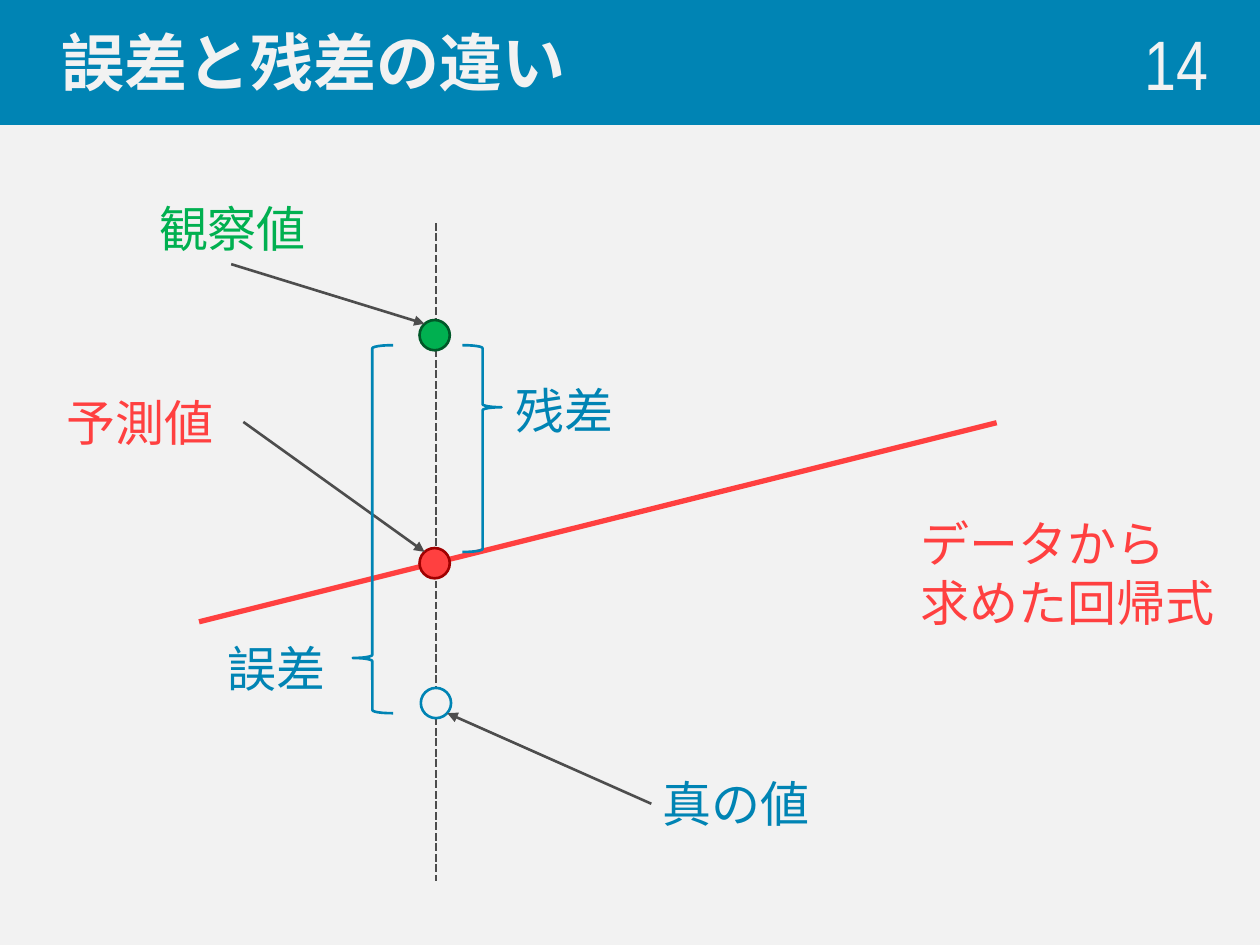
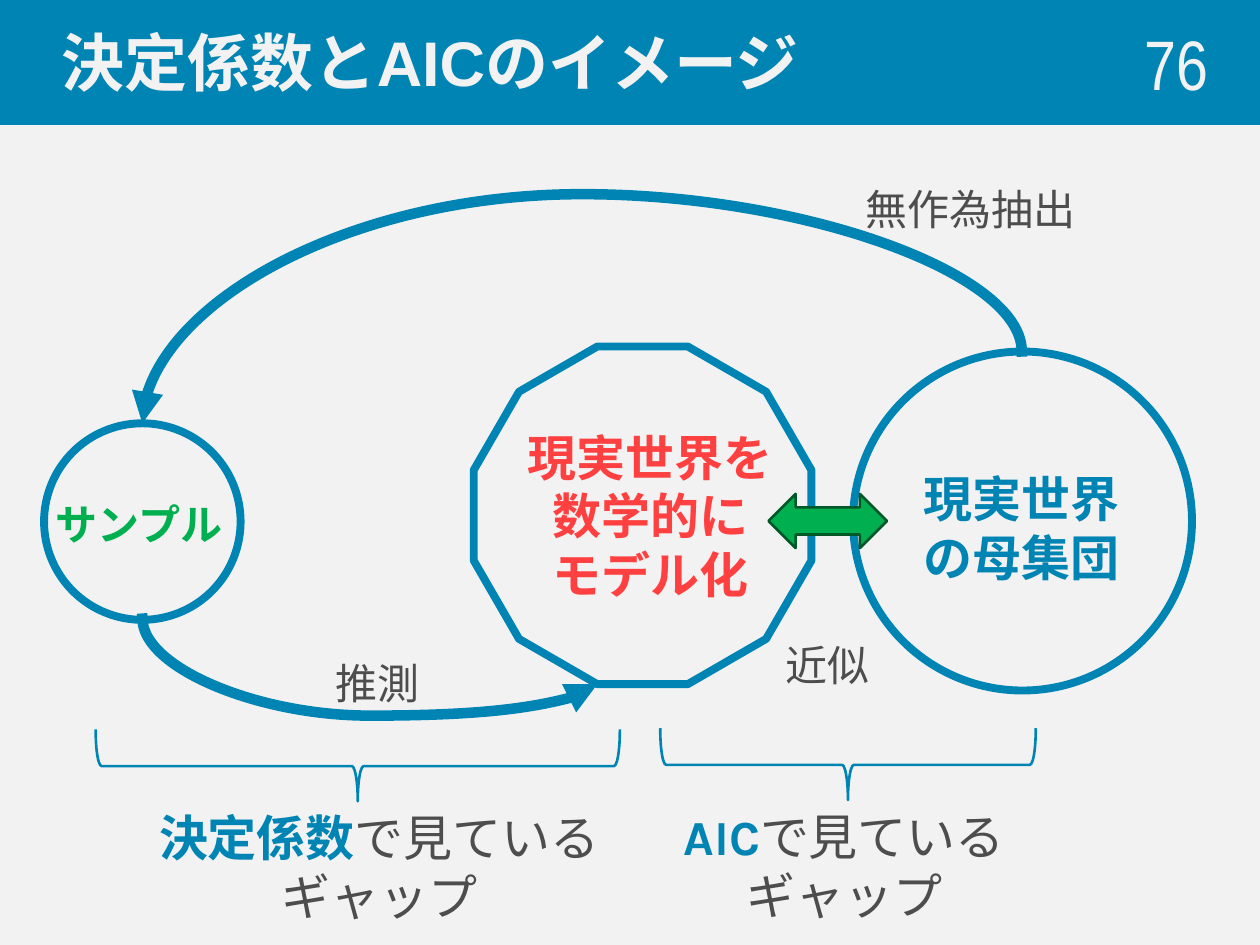
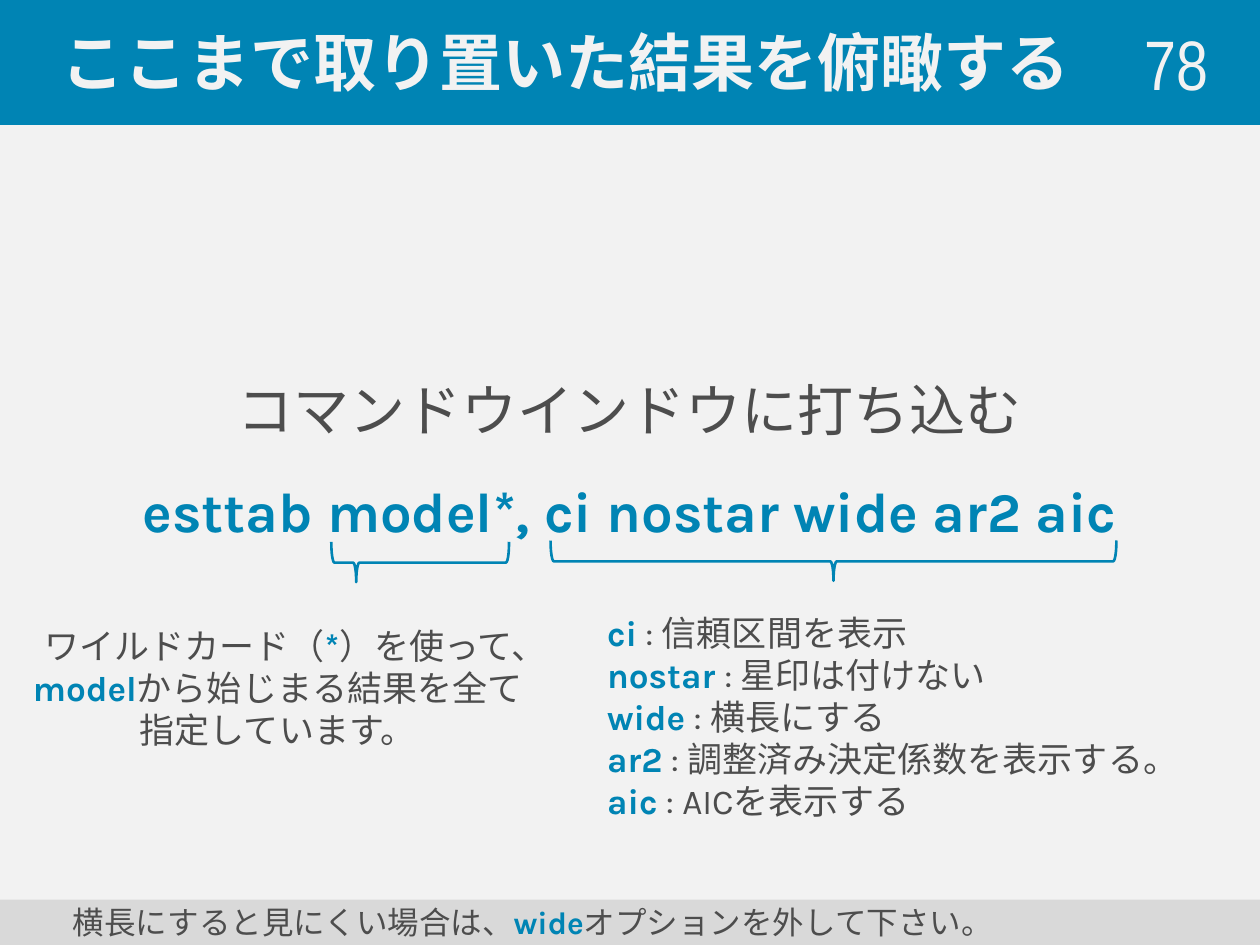
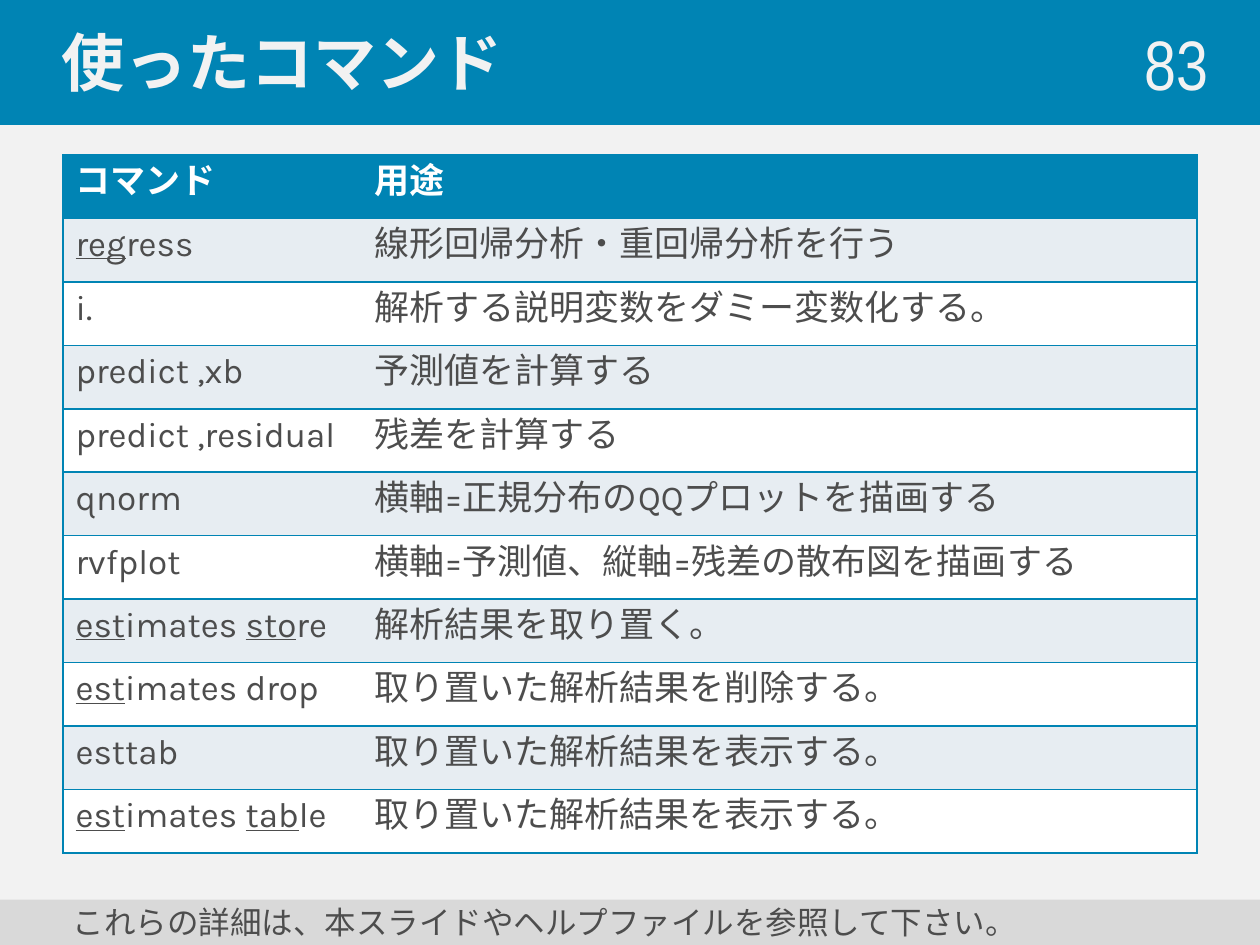
from dataclasses import dataclass
from typing import Any, Optional

from lxml.etree import SubElement
from pptx import Presentation
from pptx.dml.color import RGBColor
from pptx.enum.dml import MSO_LINE
from pptx.enum.shapes import MSO_CONNECTOR as CONN, MSO_SHAPE as SHAPE
from pptx.enum.text import MSO_ANCHOR as ANCHOR, MSO_AUTO_SIZE as AUTO, PP_ALIGN as ALIGN
from pptx.oxml.ns import qn
from pptx.util import Inches, Pt

COLORS = {
    "blue": "0084B4", "paper": "F2F2F2", "ink": "4D4D4D", "red": "FF4040",
    "green": "00B050", "dark_green": "005828", "dark_red": "A00000",
    "footer": "D9D9D9", "row": "E7EDF2", "white": "FFFFFF",
}
FONT = "Karla"
NO_STYLE = "{2D5ABB26-0587-4C30-8999-92F81FD0307C}"


@dataclass(frozen=True)
class Run:
    """A stretch of text in one style."""
    text: str
    color: str = "ink"
    bold: bool = False
    underline: bool = False


@dataclass(frozen=True)
class Label:
    """A text box: its frame and its paragraphs of runs."""
    x: float
    y: float
    w: float
    h: float
    paragraphs: list[list[Run]]
    size: int = 28
    align: ALIGN = ALIGN.LEFT


@dataclass(frozen=True)
class Figure:
    """A preset shape with optional fill, outline, rotation and adjustments."""
    kind: SHAPE
    x: float
    y: float
    w: float
    h: float
    fill: Optional[str] = None
    line: Optional[str] = "blue"
    width: float = 1.5
    rotation: int = 0
    adjust: tuple[float, ...] = ()


def rgb(name: str) -> RGBColor:
    """Return a palette colour."""
    return RGBColor.from_string(COLORS[name])


def key(text: str, color: str = "blue") -> Run:
    """Return a bold coloured run."""
    return Run(text, color, True)


def place(sp: Any, x: float, y: float, w: float, h: float) -> None:
    """Set a frame in inches."""
    sp.left, sp.top, sp.width, sp.height = (Inches(v) for v in (x, y, w, h))


def stroke(sp: Any, color: str, width: float) -> Any:
    """Draw a square-capped outline and return its element."""
    sp.line.color.rgb, sp.line.width = rgb(color), Pt(width)
    ln = sp.line._get_or_add_ln()
    ln.set("cap", "sq")
    return ln


def paint(sp: Any, fill: Optional[str], line: Optional[str], width: float = 1.5) -> None:
    """Set fill and outline, either of which may be absent."""
    if fill:
        sp.fill.solid()
        sp.fill.fore_color.rgb = rgb(fill)
    else:
        sp.fill.background()
    if line:
        stroke(sp, line, width)
    else:
        sp.line.fill.background()


def write(p: Any, runs: list[Run], size: int, font: str = FONT,
          align: ALIGN = ALIGN.LEFT, indent: float = 0) -> None:
    """Fill a paragraph, styling runs only where they differ."""
    p.alignment = align
    pPr = p._p.get_or_add_pPr()
    if indent:
        pPr.set("marL", str(Inches(indent)))
        pPr.set("indent", "0")
    p.font.name, p.font.size = font, Pt(size)
    SubElement(pPr.find(qn("a:defRPr")), qn("a:ea"), typeface=font)
    agree = len({(run.color, run.bold) for run in runs}) == 1
    if agree:
        p.font.color.rgb, p.font.bold = rgb(runs[0].color), runs[0].bold
    for run in runs:
        for i, line in enumerate(run.text.split("\n")):
            if i:
                p.add_line_break()
            r = p.add_run()
            r.text = line
            if not agree:
                r.font.color.rgb, r.font.bold = rgb(run.color), run.bold
            if run.underline:
                r.font.underline = True


def add_label(shapes: Any, label: Label) -> Any:
    """Add a wrapped text box that grows with its text."""
    sp = shapes.add_textbox(*(Inches(v) for v in (label.x, label.y, label.w, label.h)))
    tf = sp.text_frame
    tf.word_wrap, tf.auto_size = True, AUTO.SHAPE_TO_FIT_TEXT
    for i, runs in enumerate(label.paragraphs):
        p = tf.add_paragraph() if i else tf.paragraphs[0]
        write(p, runs, label.size, align=label.align)
    return sp


def add_figure(shapes: Any, fig: Figure) -> Any:
    """Add a preset shape."""
    sp = shapes.add_shape(fig.kind, *(Inches(v) for v in (fig.x, fig.y, fig.w, fig.h)))
    sp.shadow.inherit = False
    paint(sp, fig.fill, fig.line, fig.width)
    sp.rotation = fig.rotation
    for i, value in enumerate(fig.adjust):
        sp.adjustments[i] = value
    return sp


def add_line(shapes: Any, start: tuple[float, float], end: tuple[float, float],
             color: str = "ink", width: float = 1.5, arrow: bool = False,
             kind: CONN = CONN.STRAIGHT) -> Any:
    """Add a connector, with an arrowhead at its end if asked."""
    c = shapes.add_connector(kind, *(Inches(v) for v in (*start, *end)))
    ln = stroke(c, color, width)
    if arrow:
        SubElement(ln, qn("a:tailEnd"), type="triangle")
    SubElement(c._element.spPr, qn("a:effectLst"))
    return c


def add_curve(shapes: Any, start: tuple[float, float], end: tuple[float, float],
              bend: float) -> None:
    """Add a curved arrow that leaves and arrives vertically."""
    cx, cy = (start[0] + end[0]) / 2, (start[1] + end[1]) / 2
    turned = [(cx - (y - cy), cy + (x - cx)) for x, y in (start, end)]
    c = add_line(shapes, *turned, "blue", 6, True, CONN.CURVE)
    spPr = c._element.spPr
    spPr.find(qn("a:xfrm")).set("rot", str(270 * 60000))
    guides = spPr.find(qn("a:prstGeom")).get_or_add_avLst()
    SubElement(guides, qn("a:gd"), name="adj1", fmla=f"val {round(bend * 100000)}")


def add_slide(prs: Any, title: str, number: int) -> Any:
    """Add a slide with its title band and page number."""
    slide = prs.slides.add_slide(prs.slide_layouts[5])
    sp = slide.shapes.title
    place(sp, 0, 0, 10, 0.98)
    paint(sp, "blue", "blue")
    tf = sp.text_frame
    tf.auto_size, tf.vertical_anchor = AUTO.NONE, ANCHOR.MIDDLE
    write(tf.paragraphs[0], [key(title, "paper")], 36, "Arial", indent=0.39)
    tf = slide.shapes.add_textbox(*(Inches(v) for v in (7.76, 0.19, 1.93, 0.61))).text_frame
    tf.word_wrap, tf.vertical_anchor = True, ANCHOR.MIDDLE
    write(tf.paragraphs[0], [Run(str(number), "paper")], 40, "Arial Narrow", ALIGN.RIGHT)
    return slide


def add_footer(slide: Any, runs: list[Run]) -> None:
    """Add the grey note band at the bottom."""
    sp = add_figure(slide.shapes, Figure(SHAPE.RECTANGLE, 0, 7.14, 10, 0.36, "footer", None))
    tf = sp.text_frame
    tf.word_wrap, tf.vertical_anchor = True, ANCHOR.MIDDLE
    write(tf.paragraphs[0], runs, 18, indent=0.48)


def build_residuals(prs: Any) -> None:
    """Build the slide on errors and residuals."""
    shapes = add_slide(prs, "誤差と残差の違い", 14).shapes
    add_line(shapes, (3.46, 1.78), (3.46, 6.98)).line.dash_style = MSO_LINE.SQUARE_DOT
    add_line(shapes, (1.6, 4.93), (7.89, 3.36), "red", 3)
    add_label(shapes, Label(7.21, 4.03, 2.83, 1.04, [[Run("データから\n求めた回帰式", "red")]]))
    for x, y, fill, line in [(3.34, 5.46, "paper", "blue"),
                             (3.33, 2.54, "green", "dark_green"),
                             (3.33, 4.35, "red", "dark_red")]:
        add_figure(shapes, Figure(SHAPE.OVAL, x, y, 0.24, 0.24, fill, line))
    for text, color, x, y, align, side, end in [
            ("真の値", "blue", 5.16, 6.09, ALIGN.LEFT, 1, (3.55, 5.66)),
            ("予測値", "red", 0.43, 3.07, ALIGN.LEFT, 3, (3.37, 4.38)),
            ("観察値", "green", 1.09, 1.53, ALIGN.CENTER, 2, (3.37, 2.57))]:
        sp = add_label(shapes, Label(x, y, 1.51, 0.57, [[Run(text, color)]], align=align))
        add_line(shapes, (x, y), end, arrow=True).begin_connect(sp, side)
    add_figure(shapes, Figure(SHAPE.LEFT_BRACE, 2.8, 2.74, 0.31, 2.92, adjust=(0.08, 0.85)))
    add_figure(shapes, Figure(SHAPE.LEFT_BRACE, 3.68, 2.74, 0.3, 1.64,
                              rotation=180, adjust=(0.08, 0.7)))
    for text, x, y in [("誤差", 1.71, 5.02), ("残差", 3.99, 2.97)]:
        add_label(shapes, Label(x, y, 1.02, 0.57, [[Run(text, "blue")]]))


def build_aic_image(prs: Any) -> None:
    """Build the slide on the two gaps."""
    shapes = add_slide(prs, "決定係数とAICのイメージ", 76).shapes
    for kind, x, y, size in [(SHAPE.OVAL, 0.35, 3.36, 1.56),
                             (SHAPE.OVAL, 6.77, 2.79, 2.69),
                             (SHAPE.DODECAGON, 3.76, 2.75, 2.68)]:
        add_figure(shapes, Figure(kind, x, y, size, size, width=4.5))
    add_label(shapes, Label(6.77, 1.41, 2.13, 0.5, [[Run("無作為抽出")]], 24))
    for x, y, w, h, size, run in [
            (0.2, 3.91, 1.81, 0.5, 24, key("サンプル", "green")),
            (7.2, 3.67, 1.81, 1.04, 28, key("現実世界の母集団")),
            (3.99, 3.34, 2.34, 1.51, 28, key("現実世界を\n数学的に\nモデル化", "red")),
            (2.53, 5.17, 0.94, 0.5, 24, Run("推測")),
            (6.1, 5.03, 0.94, 0.5, 24, Run("近似"))]:
        add_label(shapes, Label(x, y, w, h, [[run]], size, ALIGN.CENTER))
    add_curve(shapes, (8.11, 2.79), (1.13, 3.36), -2.19)
    add_curve(shapes, (1.13, 4.91), (4.74, 5.43), 1.48)
    add_figure(shapes, Figure(SHAPE.LEFT_RIGHT_ARROW, 6.1, 3.92, 0.94, 0.43,
                              "green", "dark_green"))
    for x, y, length, text_x, text_y, name, rest in [
            (2.56, 4, 4.16, 0.93, 6.36, "決定係数", "で見ているギャップ"),
            (6.45, 4.58, 2.98, 4.62, 6.35, "AIC", "で見ている\nギャップ")]:
        add_figure(shapes, Figure(SHAPE.LEFT_BRACE, x, y, 0.56, length, rotation=270))
        add_label(shapes, Label(text_x, text_y, 4.16, 1.04, [[key(name), Run(rest)]],
                                align=ALIGN.CENTER))


def build_esttab(prs: Any) -> None:
    """Build the slide on the esttab command."""
    slide = add_slide(prs, "ここまで取り置いた結果を俯瞰する", 78)
    tf = slide.shapes.add_textbox(*(Inches(v) for v in (0.5, 1.23, 9, 4.57))).text_frame
    tf.word_wrap, tf.vertical_anchor = True, ANCHOR.MIDDLE
    for p, run in [(tf.paragraphs[0], Run("コマンドウインドウに打ち込む")),
                   (tf.add_paragraph(), key("esttab model*, ci nostar wide ar2 aic"))]:
        p.line_spacing = 1.5
        write(p, [run], 32, align=ALIGN.CENTER)
    options = [("ci", " : 信頼区間を表示"), ("nostar ", ": 星印は付けない"),
               ("wide", " : 横長にする"), ("ar2", " : 調整済み決定係数を表示する。"),
               ("aic", " : AICを表示する")]
    wildcard = [Run("ワイルドカード（"), key("*"), Run("）を使って、"), key("model"),
                Run("から始じまる結果を全て指定しています。")]
    for brace, label in [
            (Figure(SHAPE.LEFT_BRACE, 6.46, 2.21, 0.31, 4.49, rotation=270),
             Label(4.72, 4.8, 4.96, 1.78, [[key(a), Run(b)] for a, b in options], 20)),
            (Figure(SHAPE.LEFT_BRACE, 3.18, 3.76, 0.31, 1.41, rotation=270,
                    adjust=(0.08, 0.14)),
             Label(0.15, 4.91, 4.11, 1.11, [wildcard], 20, ALIGN.CENTER))]:
        group = slide.shapes.add_group_shape()
        add_figure(group.shapes, brace)
        add_label(group.shapes, label)
    add_footer(slide, [Run("横長にすると見にくい場合は、"), key("wide"),
                       Run("オプションを外して下さい。")])


def style_cell(cell: Any, fill: str, sides: str) -> None:
    """Draw the borders on the given sides, then fill the cell."""
    for side in sides:
        ln = SubElement(cell._tc.get_or_add_tcPr(), qn(f"a:ln{side}"), w=str(Pt(1)))
        SubElement(SubElement(ln, qn("a:solidFill")), qn("a:srgbClr"), val=COLORS["blue"])
    cell.fill.solid()
    cell.fill.fore_color.rgb = rgb(fill)


def build_commands(prs: Any) -> None:
    """Build the table of commands used."""
    slide = add_slide(prs, "使ったコマンド", 83)
    est = Run("est", underline=True)
    rows = [
        ([key("コマンド", "white")], key("用途", "white")),
        ([Run("reg", underline=True), Run("ress")], Run("線形回帰分析・重回帰分析を行う")),
        ([Run("i.")], Run("解析する説明変数をダミー変数化する。")),
        ([Run("predict ,xb")], Run("予測値を計算する")),
        ([Run("predict ,residual")], Run("残差を計算する")),
        ([Run("qnorm")], Run("横軸=正規分布のQQプロットを描画する")),
        ([Run("rvfplot")], Run("横軸=予測値、縦軸=残差の散布図を描画する")),
        ([est, Run("imates "), Run("sto", underline=True), Run("re")],
         Run("解析結果を取り置く。")),
        ([est, Run("imates drop")], Run("取り置いた解析結果を削除する。")),
        ([Run("esttab")], Run("取り置いた解析結果を表示する。")),
        ([est, Run("imates "), Run("tab", underline=True), Run("le")],
         Run("取り置いた解析結果を表示する。")),
    ]
    table = slide.shapes.add_table(
        len(rows), 2, *(Inches(v) for v in (0.5, 1.23, 9, 5.54))).table
    table._tbl.tblPr.find(qn("a:tableStyleId")).text = NO_STYLE
    for column, width in zip(table.columns, (2.37, 6.63)):
        column.width = Inches(width)
    for i, (command, purpose) in enumerate(rows):
        fill = ("white", "row")[i % 2] if i else "blue"
        for j, (runs, sides) in enumerate([(command, "LTB"), ([purpose], "RTB")]):
            cell = table.cell(i, j)
            style_cell(cell, fill, sides)
            write(cell.text_frame.paragraphs[0], runs, 20)
    add_footer(slide, [Run("これらの詳細は、本スライドやヘルプファイルを参照して下さい。")])


def main() -> None:
    """Build the four slides and save them."""
    prs = Presentation()
    prs.slide_width, prs.slide_height = Inches(10), Inches(7.5)
    fill = prs.slide_master.background.fill
    fill.solid()
    fill.fore_color.rgb = rgb("paper")
    for build in (build_residuals, build_aic_image, build_esttab, build_commands):
        build(prs)
    prs.save("out.pptx")


if __name__ == "__main__":
    main()
